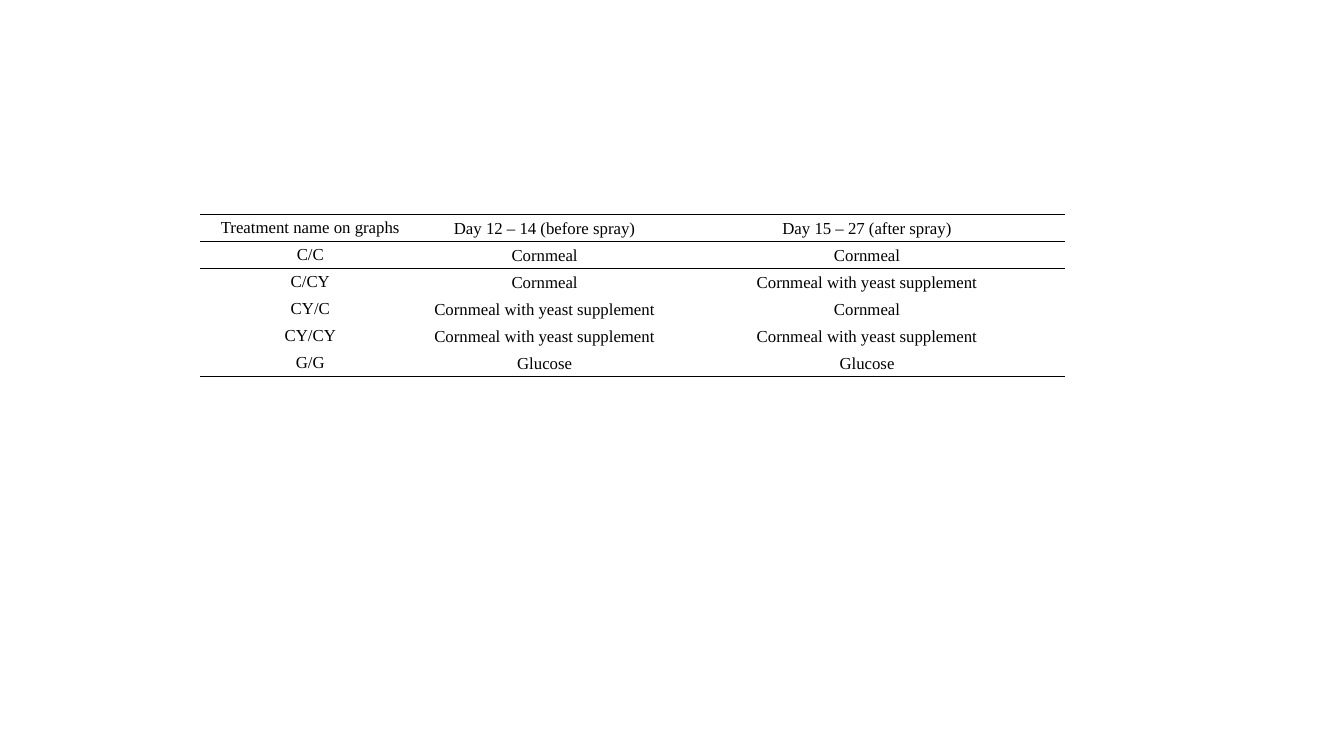
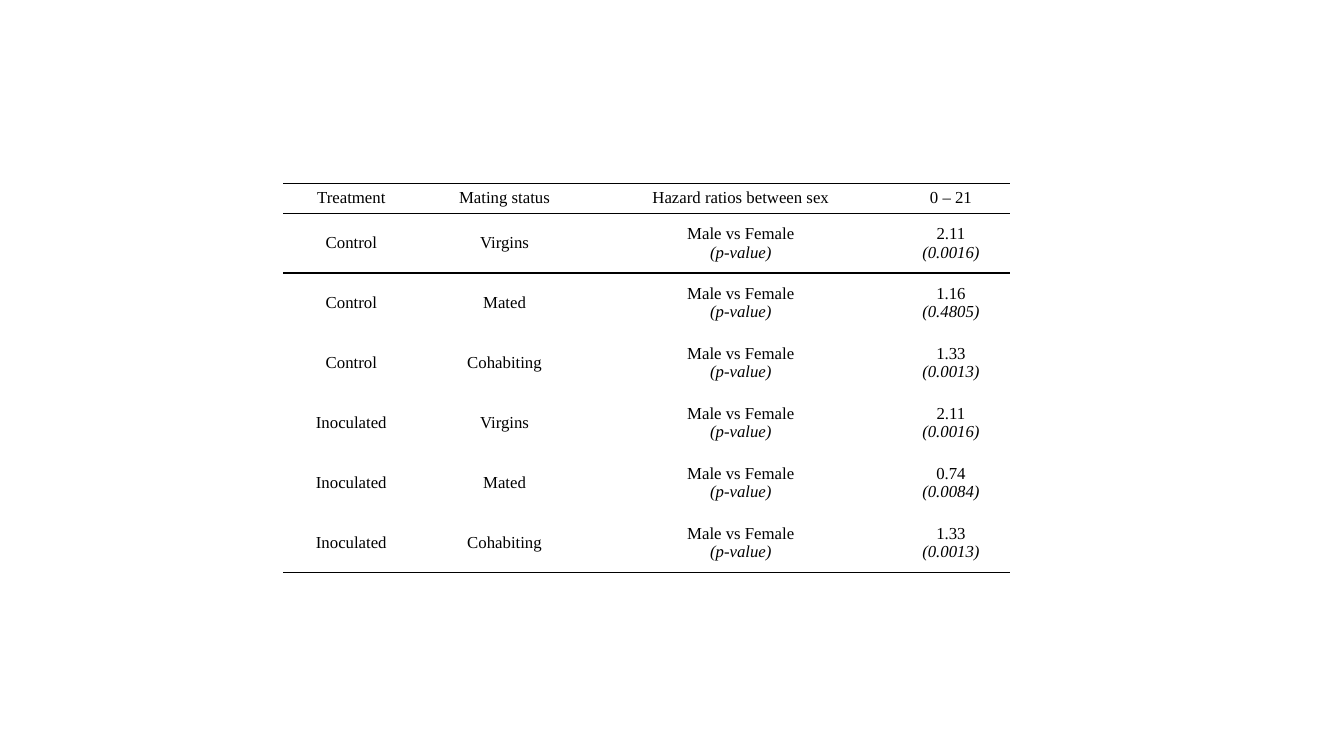
from pptx import Presentation
from pptx.dml.color import RGBColor
from pptx.enum.text import MSO_ANCHOR as Anchor, PP_ALIGN as Align
from pptx.oxml import parse_xml
from pptx.oxml.ns import nsdecls, qn
from pptx.util import Cm, Pt

COLORS = {"ink": "000000"}
FONT = "Times New Roman"
FONT_SIZE = Pt(12)
RULE_WIDTH = Pt(1)
NO_STYLE = "{2D5ABB26-0587-4C30-8999-92F81FD0307C}"

DIETS = [
    ["Treatment name on graphs", "Day 12 – 14 (before spray)", "Day 15 – 27 (after spray)"],
    ["C/C", "Cornmeal", "Cornmeal"],
    ["C/CY", "Cornmeal", "Cornmeal with yeast supplement"],
    ["CY/C", "Cornmeal with yeast supplement", "Cornmeal"],
    ["CY/CY", "Cornmeal with yeast supplement", "Cornmeal with yeast supplement"],
    ["G/G", "Glucose", "Glucose"],
]

HAZARD_HEADER = ["Treatment", "Mating status", "Hazard ratios between sex", "0 – 21"]
HAZARDS = [
    ("Control", "Virgins", "2.11", "0.0016"),
    ("Control", "Mated", "1.16", "0.4805"),
    ("Control", "Cohabiting", "1.33", "0.0013"),
    ("Inoculated", "Virgins", "2.11", "0.0016"),
    ("Inoculated", "Mated", "0.74", "0.0084"),
    ("Inoculated", "Cohabiting", "1.33", "0.0013"),
]


def add_rules(cell, sides):
    tcPr = cell._tc.get_or_add_tcPr()
    for side in sides:
        tcPr.append(parse_xml(
            f'<a:ln{side} {nsdecls("a")} w="{RULE_WIDTH}"><a:solidFill>'
            f'<a:srgbClr val="{COLORS["ink"]}"/></a:solidFill></a:ln{side}>'))


def fill_cell(cell, text, anchor, inset_x):
    cell.fill.background()
    cell.vertical_anchor = anchor
    cell.margin_left = cell.margin_right = inset_x
    cell.margin_top = cell.margin_bottom = Cm(0.09)
    tf = cell.text_frame
    tf.text = text
    for i, p in enumerate(tf.paragraphs):
        p.alignment = Align.CENTER
        for r in p.runs:
            r.font.name = FONT
            r.font.size = FONT_SIZE
            r.font.italic = i > 0
            r.font.color.rgb = RGBColor.from_string(COLORS["ink"])


def add_ruled_table(s, left, top, widths, heights, rows, anchors, inset_x):
    frame = s.shapes.add_table(len(rows), len(widths), left, top, sum(widths), sum(heights))
    table = frame.table
    table.first_row = table.horz_banding = False
    table._tbl.tblPr.find(qn("a:tableStyleId")).text = NO_STYLE
    for column, width in zip(table.columns, widths):
        column.width = width
    rules = {0: "TB", 1: "T", len(rows) - 1: "B"}
    for i, values in enumerate(rows):
        table.rows[i].height = heights[i]
        for j, text in enumerate(values):
            cell = table.cell(i, j)
            add_rules(cell, rules.get(i, ""))
            fill_cell(cell, text, anchors[j], inset_x)


def add_diet_slide(prs):
    s = prs.slides.add_slide(prs.slide_layouts[6])
    widths = [Cm(w) for w in (5.54, 6.27, 9.98)]
    heights = [Cm(0.68)] * len(DIETS)
    anchors = [Anchor.TOP, Anchor.BOTTOM, Anchor.BOTTOM]
    add_ruled_table(s, Cm(5.05), Cm(5.41), widths, heights, DIETS, anchors, Cm(0.2))


def add_hazard_slide(prs):
    s = prs.slides.add_slide(prs.slide_layouts[6])
    rows = [HAZARD_HEADER] + [
        [treatment, status, "Male vs Female\n(p-value)", f"{ratio}\n({p_value})"]
        for treatment, status, ratio, p_value in HAZARDS]
    widths = [Cm(w) for w in (3.43, 4.29, 7.62, 2.97)]
    heights = [Cm(0.75)] + [Cm(1.51)] * len(HAZARDS)
    anchors = [Anchor.MIDDLE] * len(widths)
    add_ruled_table(s, Cm(7.14), Cm(4.62), widths, heights, rows, anchors, Cm(0.18))


def main():
    prs = Presentation()
    prs.slide_width, prs.slide_height = Cm(33.87), Cm(19.05)
    add_diet_slide(prs)
    add_hazard_slide(prs)
    prs.save("out.pptx")


if __name__ == "__main__":
    main()
